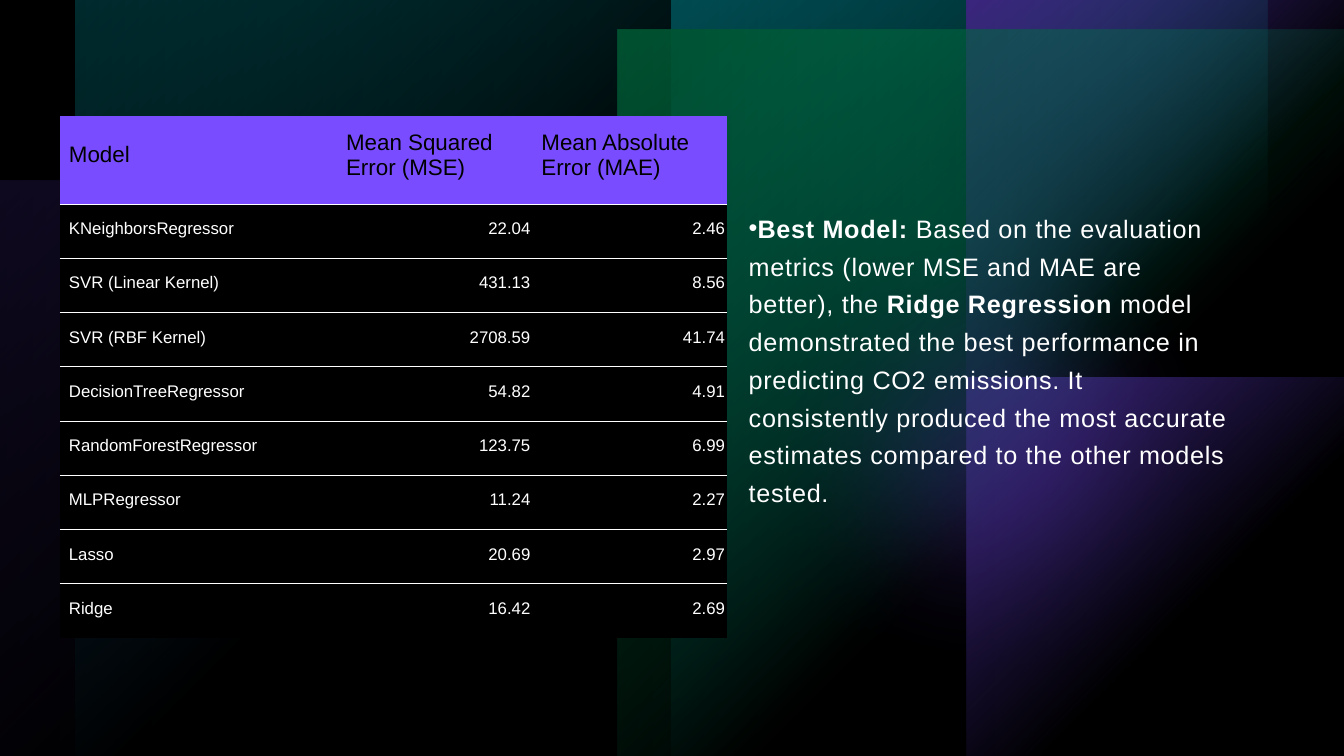
"""Build the slide comparing regression models by MSE and MAE."""
from dataclasses import dataclass

from lxml import etree
from pptx import Presentation
from pptx.dml.color import RGBColor
from pptx.enum.shapes import MSO_SHAPE
from pptx.enum.text import MSO_ANCHOR, PP_ALIGN
from pptx.oxml import parse_xml
from pptx.oxml.ns import nsdecls, qn
from pptx.util import Pt

RECT, OVAL = MSO_SHAPE.RECTANGLE, MSO_SHAPE.OVAL
MIDDLE, BOTTOM = MSO_ANCHOR.MIDDLE, MSO_ANCHOR.BOTTOM
LEFT, RIGHT = PP_ALIGN.LEFT, PP_ALIGN.RIGHT
FONT = "Arial"
COLORS = {"black": "000000", "white": "FFFFFF", "purple": "794DFF",
          "green": "00D17D", "teal": "00BAC8"}
SLIDE_W, SLIDE_H = 960, 540


@dataclass
class Glow:
    """A tinted square or panel fading out from its top left corner."""
    x: float
    y: float
    w: float
    h: float
    color: str
    rotation: int = 0
    flip: bool = False
    alpha: int = 100


@dataclass
class Blur:
    """A soft-edged circle."""
    x: float
    y: float
    size: float
    color: str
    alpha: int


@dataclass
class Run:
    """A piece of text with its weight."""
    text: str
    bold: bool


BACKDROP = [
    Glow(0, 129, 411, 411, "purple", 270, alpha=60),
    Blur(502.5, 0, 340, "green", 96),
    Blur(481.5, 97, 433.5, "purple", 60),
    Glow(479.5, 0, 425.5, 540, "teal"),
    Glow(54, 0, 425.5, 540, "teal", flip=True),
    Glow(690, 270, 270, 270, "purple", 90),
    Glow(690, 0, 270, 270, "purple", 90, True),
    Glow(441, 21, 519, 519, "green", 180),
]
ROWS = [
    ("Model", "Mean Squared Error (MSE)", "Mean Absolute Error (MAE)"),
    ("KNeighborsRegressor", "22.04", "2.46"),
    ("SVR (Linear Kernel)", "431.13", "8.56"),
    ("SVR (RBF Kernel)", "2708.59", "41.74"),
    ("DecisionTreeRegressor", "54.82", "4.91"),
    ("RandomForestRegressor", "123.75", "6.99"),
    ("MLPRegressor", "11.24", "2.27"),
    ("Lasso", "20.69", "2.97"),
    ("Ridge", "16.42", "2.69"),
]
COL_WIDTHS = (198, 139.5, 139)
HEADER_H, ROW_H = 63, 38.75
CONCLUSION = [
    Run("Best Model:", True),
    Run(" Based on the evaluation metrics (lower MSE and MAE are better), the ", False),
    Run("Ridge Regression", True),
    Run(" model demonstrated the best performance in predicting CO2 emissions. "
        "It consistently produced the most accurate estimates compared to the "
        "other models tested.", False),
]


def rgb(name: str) -> RGBColor:
    """Look up a named colour."""
    return RGBColor.from_string(COLORS[name])


def add_plain(shapes, kind, x: float, y: float, w: float, h: float, color: str):
    """Add a filled shape without line or shadow."""
    sp = shapes.add_shape(kind, Pt(x), Pt(y), Pt(w), Pt(h))
    sp.shadow.inherit = False
    sp.line.fill.background()
    sp.fill.solid()
    sp.fill.fore_color.rgb = rgb(color)
    return sp


def set_gradient(sp, color: str, stops: list, shade: str) -> None:
    """Replace the solid fill with a gradient of (position, alpha) stops."""
    gs = "".join(f'<a:gs pos="{pos * 1000}"><a:srgbClr val="{COLORS[color]}">'
                 f'<a:alpha val="{alpha * 1000}"/></a:srgbClr></a:gs>'
                 for pos, alpha in stops)
    solid = sp.fill._xPr.find(qn("a:solidFill"))
    solid.getparent().replace(solid, parse_xml(
        f'<a:gradFill rotWithShape="0" {nsdecls("a")}><a:gsLst>{gs}</a:gsLst>{shade}</a:gradFill>'))


def add_glow(shapes, glow: Glow) -> None:
    """Draw a panel with a radial fade."""
    sp = add_plain(shapes, RECT, glow.x, glow.y, glow.w, glow.h, glow.color)
    sp.rotation = glow.rotation
    if glow.flip:
        sp._element.spPr.xfrm.set("flipH", "1")
    set_gradient(sp, glow.color, [(0, glow.alpha), (60, 0)],
                 '<a:path path="circle"><a:fillToRect r="100000" b="100000"/></a:path>')


def add_blur(shapes, blur: Blur) -> None:
    """Draw a translucent circle with soft edges."""
    sp = add_plain(shapes, OVAL, blur.x, blur.y, blur.size, blur.size, blur.color)
    spPr = sp._element.spPr
    color = spPr.find(qn("a:solidFill"))[0]
    etree.SubElement(color, qn("a:alpha"), val=str(blur.alpha * 1000))
    effects = spPr.find(qn("a:effectLst"))
    etree.SubElement(effects, qn("a:softEdge"), rad=str(Pt(100)))


def add_backdrop(slide) -> None:
    """Draw the black base, the coloured glows and the dark veil."""
    add_plain(slide.shapes, RECT, 0, 0, SLIDE_W, SLIDE_H, "black")
    group = slide.shapes.add_group_shape()
    for item in BACKDROP:
        draw = add_glow if isinstance(item, Glow) else add_blur
        draw(group.shapes, item)
    veil = add_plain(slide.shapes, RECT, 0, 0, SLIDE_W, SLIDE_H, "black")
    veil._element.spPr.xfrm.set("flipH", "1")
    set_gradient(veil, "black", [(0, 40), (100, 80)], '<a:lin ang="0" scaled="0"/>')


def add_run(p, text: str, size: float, color: str, bold: bool = False):
    """Append a formatted run."""
    r = p.add_run()
    r.text = text
    r.font.name, r.font.size, r.font.bold = FONT, Pt(size), bold
    r.font.color.rgb = rgb(color)
    return r


def set_borders(cell, top: bool, bottom: bool) -> None:
    """Show white rules only on the chosen sides."""
    tcPr = cell._tc.get_or_add_tcPr()
    shown = {"L": False, "R": False, "T": top, "B": bottom}
    for i, (side, visible) in enumerate(shown.items()):
        fill = (f'<a:solidFill><a:srgbClr val="{COLORS["white"]}"/></a:solidFill>'
                if visible else "<a:noFill/>")
        tcPr.insert(i, parse_xml(
            f'<a:ln{side} w="{Pt(0.75)}" {nsdecls("a")}>{fill}</a:ln{side}>'))


def add_scores(slide) -> None:
    """Draw the table of model errors."""
    last = len(ROWS) - 1
    tbl = slide.shapes.add_table(len(ROWS), len(COL_WIDTHS), Pt(42.75), Pt(82.75),
                                 Pt(sum(COL_WIDTHS)), Pt(HEADER_H + last * ROW_H)).table
    tbl.first_row = tbl.horz_banding = False
    for col, width in zip(tbl.columns, COL_WIDTHS):
        col.width = Pt(width)
    for i, values in enumerate(ROWS):
        header = i == 0
        tbl.rows[i].height = Pt(HEADER_H if header else ROW_H)
        for j, value in enumerate(values):
            cell = tbl.cell(i, j)
            cell.margin_left, cell.margin_top = Pt(6.5), Pt(7.2)
            cell.margin_right, cell.margin_bottom = Pt(1.4), Pt(14.4)
            cell.vertical_anchor = MIDDLE if header else BOTTOM
            cell.fill.solid()
            cell.fill.fore_color.rgb = rgb("purple" if header else "black")
            set_borders(cell, not header, i < last)
            p = cell.text_frame.paragraphs[0]
            p.alignment = RIGHT if j and not header else LEFT
            add_run(p, value, 16 if header else 12, "black" if header else "white")


def add_conclusion(slide) -> None:
    """Write the bulleted verdict beside the table."""
    tf = slide.shapes.add_textbox(Pt(527.75), Pt(143.25), Pt(357), Pt(265)).text_frame
    tf.word_wrap = True
    p = tf.paragraphs[0]
    pPr = p._p.get_or_add_pPr()
    pPr.set("marL", "0")
    pPr.set("indent", str(Pt(-21.6)))
    etree.SubElement(pPr, qn("a:buFont"), typeface=FONT)
    etree.SubElement(pPr, qn("a:buChar"), char="•")
    p.line_spacing, p.space_after = 1.25, Pt(6)
    for run in CONCLUSION:
        r = add_run(p, run.text, 18, "white", run.bold)
        r.font._element.set("spc", "50")


def main() -> None:
    """Build and save the slide."""
    prs = Presentation()
    prs.slide_width, prs.slide_height = Pt(SLIDE_W), Pt(SLIDE_H)
    s = prs.slides.add_slide(prs.slide_layouts[6])
    s.background.fill.solid()
    s.background.fill.fore_color.rgb = rgb("black")
    add_backdrop(s)
    add_scores(s)
    add_conclusion(s)
    prs.save("out.pptx")


if __name__ == "__main__":
    main()
